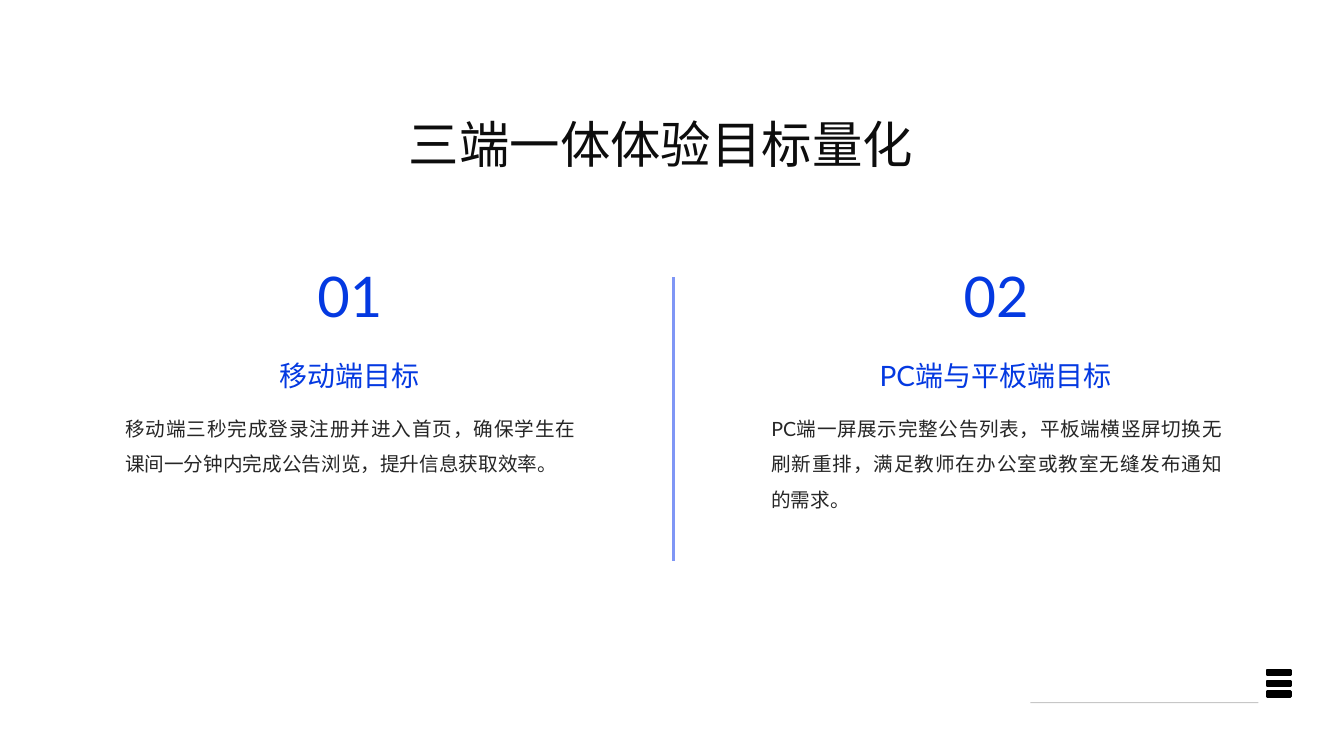
from lxml import etree
from pptx import Presentation
from pptx.dml.color import RGBColor
from pptx.enum import shapes, text
from pptx.oxml.ns import qn
from pptx.util import Inches, Pt

# Content
TITLE = "三端一体体验目标量化"
GOALS = [
    ("01", "移动端目标",
     "移动端三秒完成登录注册并进入首页，确保学生在课间一分钟内完成公告浏览，提升信息获取效率。"),
    ("02", "PC端与平板端目标",
     "PC端一屏展示完整公告列表，平板端横竖屏切换无刷新重排，满足教师在办公室或教室无缝发布通知的需求。"),
]
HUES = {"title": "0D0D0D", "blue": "0439E1", "body": "262626",
        "rule": "7F96F5", "black": "000000"}
FONT = "Lato"
ALIGN = text.PP_ALIGN

# Layout in inches
LEFT, STEP = 0.73, 6.41
BAR_TOP, BAR_STEP = 6.65, 0.105

deck = Presentation()
deck.slide_width, deck.slide_height = Inches(13.33), Inches(7.5)
slide = deck.slides.add_slide(deck.slide_layouts[6])


def color(name):
    return RGBColor.from_string(HUES[name])


def write(words, box, size, hue, align=ALIGN.CENTER, space=None):
    frame = slide.shapes.add_textbox(*map(Inches, box)).text_frame
    frame.word_wrap = True
    frame.margin_left = frame.margin_right = 0
    frame.margin_top = frame.margin_bottom = 0
    para = frame.paragraphs[0]
    para.alignment = align
    if space:
        para.line_spacing = space
    run = para.add_run()
    run.text = words
    run.font.size, run.font.name = Pt(size), FONT
    run.font.color.rgb = color(hue)
    etree.SubElement(run.font._element, qn("a:ea"), typeface=FONT)


def rule(x1, y1, x2, y2, hue, width, alpha=100):
    line = slide.shapes.add_connector(
        shapes.MSO_CONNECTOR.STRAIGHT, *map(Inches, (x1, y1, x2, y2)))
    line.line.color.rgb = color(hue)
    line.line.width = Pt(width)
    props = line._element.spPr
    if alpha < 100:
        tint = props.find(".//" + qn("a:srgbClr"))
        etree.SubElement(tint, qn("a:alpha"), val=str(alpha * 1000))
    etree.SubElement(props, qn("a:effectLst"))


# Title and dividing lines
write(TITLE, (LEFT, 0.82, 11.65, 0.9), 36, "title", space=1.5)
rule(6.68, 2.75, 6.68, 5.57, "rule", 1.5)
rule(10.22, 6.97, 12.48, 6.97, "black", 0.75, alpha=22)

# Menu bars
for i in range(3):
    bar = slide.shapes.add_shape(
        shapes.MSO_SHAPE.RECTANGLE,
        *map(Inches, (12.57, BAR_TOP + i * BAR_STEP, 0.23, 0.05)))
    bar.shadow.inherit = False
    bar.fill.solid()
    bar.fill.fore_color.rgb = color("black")
    bar.line.color.rgb = color("black")
    bar.line.width = Pt(1.5)

# Goal columns
for i, (num, head, body) in enumerate(GOALS):
    x = LEFT + i * STEP
    write(num, (x + 2.26, 2.59, 0.96, 0.76), 40, "blue")
    write(head, (x, 3.56, 5.47, 0.42), 20, "blue")
    write(body, (x + 0.51, 4.02, 4.47, 2.32), 14, "body",
          align=ALIGN.JUSTIFY, space=1.5)

deck.save("out.pptx")
